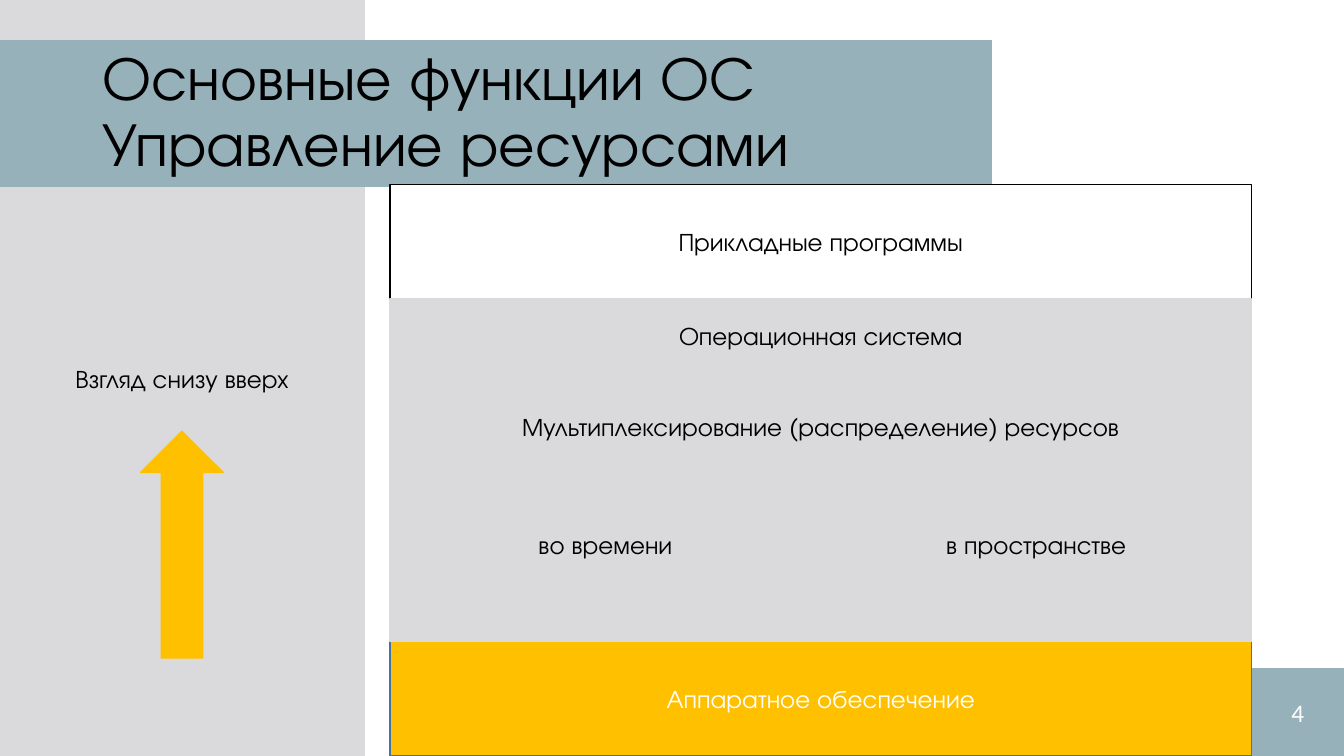
"""Build the slide on resource management as a function of an operating system."""
from pptx import Presentation
from pptx.dml.color import RGBColor
from pptx.enum.shapes import MSO_SHAPE
from pptx.enum.text import MSO_ANCHOR, PP_ALIGN
from pptx.util import Pt

TITLE = "Основные функции ОС\vУправление ресурсами"
VIEWPOINT = "Взгляд снизу вверх"
APPLICATIONS = "Прикладные программы"
SYSTEM = ["Операционная система", "Мультиплексирование (распределение) ресурсов"]
SHARING = ["во времени", "в пространстве"]
HARDWARE = "Аппаратное обеспечение"
PAGE_NUMBER = "4"

FONT = "TeX Gyre Adventor"
BLACK, WHITE, GREY, TEAL, AMBER, BLUE = "000000", "FFFFFF", "DADADC", "97B1BA", "FFC000", "43739E"

SLIDE_W, SLIDE_H = 960, 540
SIDEBAR_W = 260
BAND_TOP, BAND_W, BAND_H = 28.8, 708.5, 104.4
STACK_LEFT, STACK_TOP, STACK_W = 278.5, 131.9, 615.6
LAYER_H = 81.8
SYSTEM_TOP = STACK_TOP + LAYER_H
HARDWARE_TOP = SLIDE_H - LAYER_H
SHARING_H = 138.2
NUMBER_LEFT, NUMBER_TOP = STACK_LEFT + STACK_W, 477.4
ARROW_W, ARROW_TOP, ARROW_H = 59, 308, 162


def color(hex_string):
    return RGBColor.from_string(hex_string)


def write(shape, lines, size=18, font=FONT, ink=BLACK, align=PP_ALIGN.CENTER,
          anchor=MSO_ANCHOR.MIDDLE, gap=0, spacing=1.0):
    frame = shape.text_frame
    frame.word_wrap = True
    frame.vertical_anchor = anchor
    frame.text = "\n".join(lines)
    for index, paragraph in enumerate(frame.paragraphs):
        paragraph.alignment = align
        paragraph.line_spacing = spacing
        paragraph.space_before = Pt(gap if index else 0)
        for run in paragraph.runs:
            run.font.size = Pt(size)
            run.font.name = font
            run.font.color.rgb = color(ink)


def block(left, top, width, height, fill, line=None, kind=MSO_SHAPE.RECTANGLE):
    shape = slide.shapes.add_shape(kind, Pt(left), Pt(top), Pt(width), Pt(height))
    shape.shadow.inherit = False
    shape.fill.solid()
    shape.fill.fore_color.rgb = color(fill)
    shape.line.color.rgb = color(line or fill)
    shape.line.width = Pt(1)
    return shape


presentation = Presentation()
presentation.slide_width, presentation.slide_height = Pt(SLIDE_W), Pt(SLIDE_H)
slide = presentation.slides.add_slide(presentation.slide_layouts[5])

write(block(0, 0, SIDEBAR_W, SLIDE_H, GREY), [VIEWPOINT])
block(0, BAND_TOP, BAND_W, BAND_H, TEAL)

title = slide.shapes.title
title.left, title.top, title.width, title.height = Pt(66), Pt(BAND_TOP), Pt(828), Pt(BAND_H)
write(title, [TITLE], size=44, align=PP_ALIGN.LEFT, spacing=0.9)
title.element.getparent().append(title.element)

page_number = block(NUMBER_LEFT, NUMBER_TOP, SLIDE_W - NUMBER_LEFT, SLIDE_H - NUMBER_TOP, TEAL)
write(page_number, [PAGE_NUMBER], font="Calibri", ink=WHITE)

block((SIDEBAR_W - ARROW_W) / 2, ARROW_TOP, ARROW_W, ARROW_H, AMBER, kind=MSO_SHAPE.UP_ARROW)

hardware = block(STACK_LEFT, HARDWARE_TOP, STACK_W, LAYER_H, AMBER, line=BLUE)
write(hardware, [HARDWARE], ink=WHITE)
applications = block(STACK_LEFT, STACK_TOP, STACK_W, LAYER_H, WHITE, line=BLACK)
write(applications, [APPLICATIONS])
system = block(STACK_LEFT, SYSTEM_TOP, STACK_W, HARDWARE_TOP - SYSTEM_TOP, GREY)
system.text_frame.margin_top = Pt(15)
write(system, SYSTEM, anchor=MSO_ANCHOR.TOP, gap=43.5)

sharing_w = STACK_W / len(SHARING)
for column, way in enumerate(SHARING):
    sharing = slide.shapes.add_textbox(Pt(STACK_LEFT + column * sharing_w),
                                       Pt(HARDWARE_TOP - SHARING_H), Pt(sharing_w), Pt(SHARING_H))
    write(sharing, [way])

presentation.save("out.pptx")
